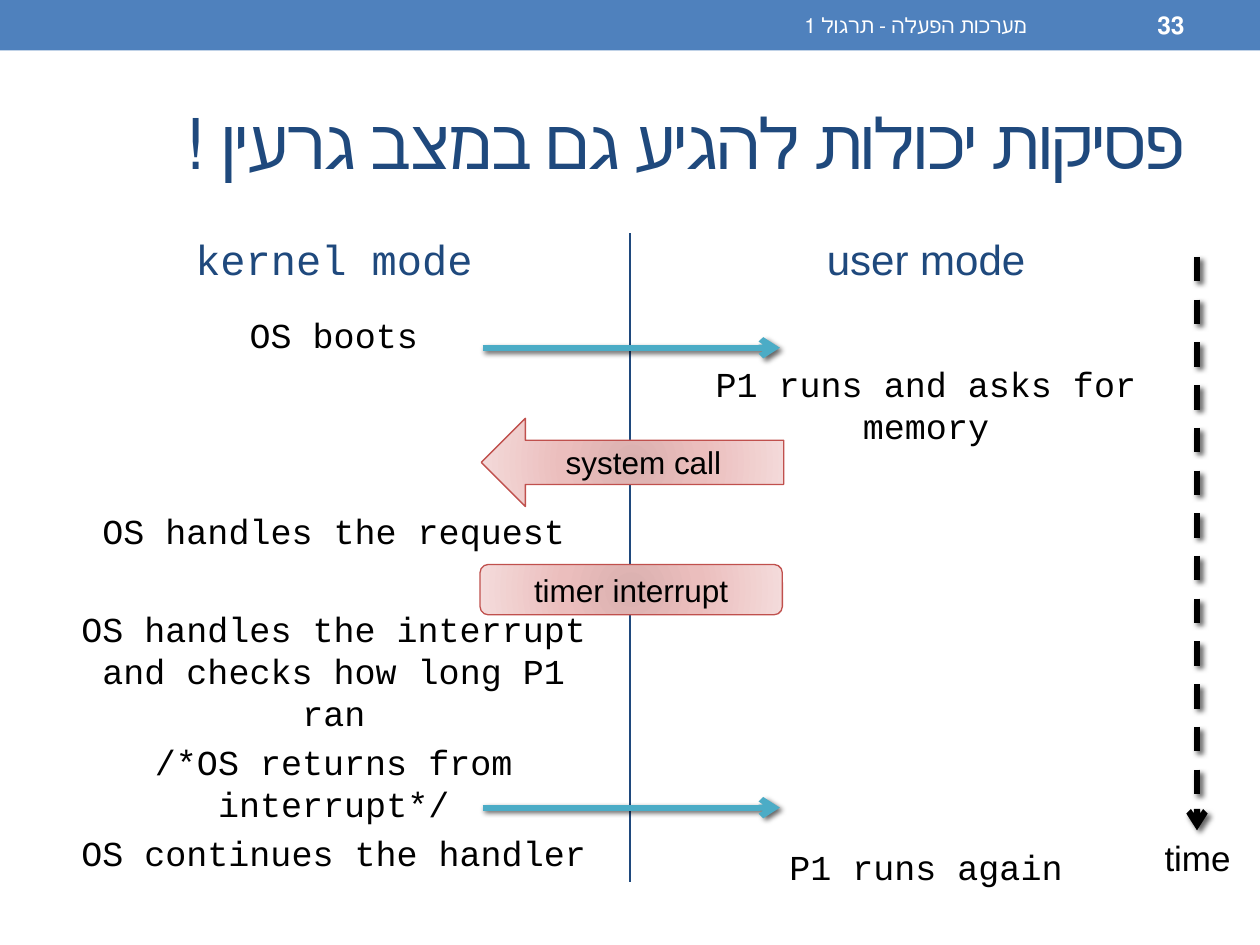
from pptx import Presentation
from pptx.dml.color import RGBColor
from pptx.enum.dml import MSO_LINE
from pptx.enum.shapes import MSO_CONNECTOR, MSO_SHAPE
from pptx.enum.text import MSO_ANCHOR, PP_ALIGN
from pptx.oxml import parse_xml
from pptx.oxml.ns import nsdecls
from pptx.util import Inches, Pt

NAVY = RGBColor(0x1F, 0x49, 0x7D)
BLUE = RGBColor(0x4F, 0x81, 0xBD)
TEAL = RGBColor(0x4B, 0xAC, 0xC6)
RED = RGBColor(0xC0, 0x50, 0x4D)
BLACK = RGBColor(0, 0, 0)
WHITE = RGBColor(0xFF, 0xFF, 0xFF)
MONO, SANS = "Courier New", "Arial"
LINE, GAP = 24, 4  # line height and paragraph gap of the timeline, in points

GRADIENT = f"""<a:gradFill {nsdecls('a')} rotWithShape="1"><a:gsLst>
<a:gs pos="0"><a:srgbClr val="DAB0AF"/></a:gs>
<a:gs pos="45000"><a:srgbClr val="EBBEBD"/></a:gs>
<a:gs pos="100000"><a:srgbClr val="F4DBDB"/></a:gs></a:gsLst>
<a:path path="circle"><a:fillToRect l="100000" t="100000" r="100000" b="100000"/></a:path>
</a:gradFill>"""
SHADOW = f"""<a:effectLst {nsdecls('a')}>
<a:outerShdw blurRad="38100" dist="25400" dir="2700000" rotWithShape="0">
<a:srgbClr val="000000"><a:alpha val="60000"/></a:srgbClr></a:outerShdw></a:effectLst>"""
NO_SHADOW = f"<a:effectLst {nsdecls('a')}/>"


def write(sp, text, size=20, font=SANS, color=BLACK, bold=False, align=PP_ALIGN.CENTER,
          anchor=MSO_ANCHOR.MIDDLE, rtl=False, spacing=None, before=0, line=None, first=True):
    """Write one paragraph into a shape and return its run."""
    tf = sp.text_frame
    tf.word_wrap = True
    tf.vertical_anchor = anchor
    p = tf.paragraphs[0] if first else tf.add_paragraph()
    p.alignment = align
    p.space_before = Pt(before)
    if line:
        p.line_spacing = Pt(line)
    if rtl:
        p._p.get_or_add_pPr().set("rtl", "1")
    r = p.add_run()
    r.text = text
    r.font.size, r.font.name, r.font.bold = Pt(size), font, bold
    r.font.color.rgb = color
    if spacing:
        r.font._element.set("spc", str(spacing * 100))
    return r


def connect(x1, y1, x2, y2, color, width, arrow=True):
    """Draw a line; arrows get an open head and a soft shadow."""
    c = s.shapes.add_connector(MSO_CONNECTOR.STRAIGHT, Inches(x1), Inches(y1),
                               Inches(x2), Inches(y2))
    c.line.color.rgb = color
    c.line.width = Pt(width)
    if arrow:
        c.line._get_or_add_ln().append(
            parse_xml(f'<a:tailEnd {nsdecls("a")} type="arrow"/>'))
    c._element.spPr.append(parse_xml(SHADOW if arrow else NO_SHADOW))
    return c


prs = Presentation()
prs.slide_width, prs.slide_height = Inches(10), Inches(7.5)
s = prs.slides.add_slide(prs.slide_layouts[5])

# Header band and divider between the modes
band = s.shapes.add_shape(MSO_SHAPE.RECTANGLE, 0, 0, Inches(10), Inches(0.4))
band.shadow.inherit = False
band.fill.solid()
band.fill.fore_color.rgb = BLUE
band.line.fill.background()
connect(5, 1.85, 5, 7, NAVY, 1.5, arrow=False)

# Title
title = s.shapes.title
title.left, title.top, title.width, title.height = (
    Inches(v) for v in (0.5, 0.58, 9, 1.08))
write(title, "פסיקות יכולות להגיע גם במצב גרעין !", size=40, font=MONO, color=NAVY,
      align=PP_ALIGN.RIGHT, rtl=True, spacing=-1)

# Header text and slide number
for x, w, text, fmt in [
    (3.75, 4.5, "מערכות הפעלה - תרגול 1", dict(size=12, font=MONO)),
    (8.33, 1.17, "33", dict(size=14, bold=True)),
]:
    sp = s.shapes.add_textbox(Inches(x), Inches(0.02), Inches(w), Inches(0.36))
    write(sp, text, color=WHITE, align=PP_ALIGN.RIGHT, rtl=True, **fmt)

# Mode columns: each event is given with the number of empty rows above it
columns = [
    (0.5, "kernel mode", MONO, [
        (0, "OS boots"),
        (3, "OS handles the request"),
        (1, "OS handles the interrupt and checks how long P1 ran"),
        (0, "/*OS returns from interrupt*/"),
        (0, "OS continues the handler"),
    ]),
    (5.2, "user mode", SANS, [
        (1, "P1 runs and asks for memory"),
        (8, "P1 runs again"),
    ]),
]
for x, heading, font, events in columns:
    sp = s.shapes.add_textbox(Inches(x), Inches(1.56), Inches(4.3), Inches(0.98))
    write(sp, heading, size=24, font=font, color=NAVY, rtl=True)
    sp = s.shapes.add_textbox(Inches(x), Inches(2.44), Inches(4.3), Inches(4.55))
    for i, (rows, text) in enumerate(events):
        before = GAP + rows * (LINE + GAP)
        if i == 0:
            sp.text_frame.margin_top = Inches(0.05) + Pt(before - GAP)
            before = GAP
        write(sp, text, font=MONO, anchor=MSO_ANCHOR.TOP, before=before, line=LINE,
              first=i == 0)

# Time axis
axis = connect(9.5, 2.04, 9.5, 6.59, BLACK, 3.5)
axis.line.dash_style = MSO_LINE.DASH
sp = s.shapes.add_textbox(Inches(9.11), Inches(6.59), Inches(0.79), Inches(0.39))
write(sp, "time", anchor=MSO_ANCHOR.TOP)

# Switches into the kernel
for kind, x, y, h, text in [
    (MSO_SHAPE.LEFT_ARROW, 3.82, 3.32, 0.7, "system call"),
    (MSO_SHAPE.FLOWCHART_ALTERNATE_PROCESS, 3.81, 4.48, 0.4, "timer interrupt"),
]:
    sp = s.shapes.add_shape(kind, Inches(x), Inches(y), Inches(2.4), Inches(h))
    sp.shadow.inherit = False
    sp.line.color.rgb = RED
    sp.line.width = Pt(0.75)
    sp._element.spPr.insert(2, parse_xml(GRADIENT))
    write(sp, text, size=18)

# Returns to user mode
for y in (2.76, 6.41):
    connect(3.83, y, 6.19, y, TEAL, 3.5)

prs.save("out.pptx")
